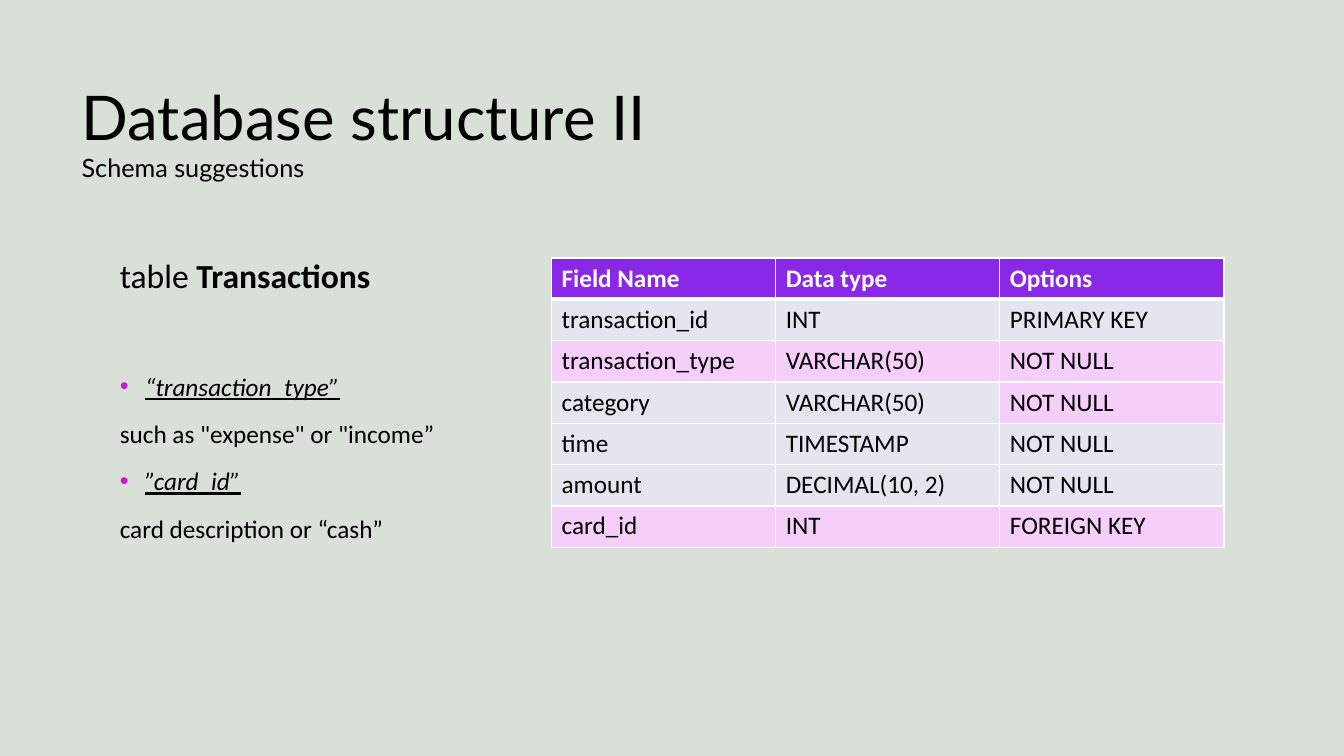
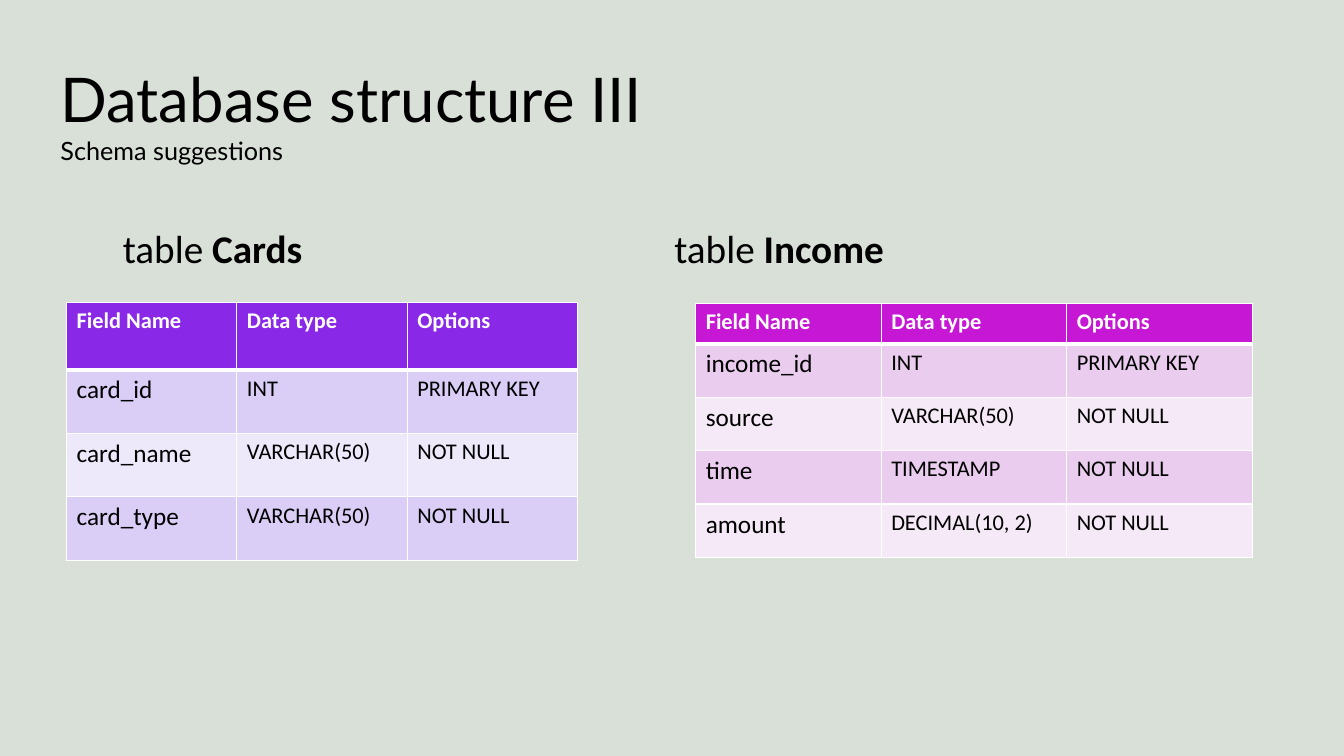
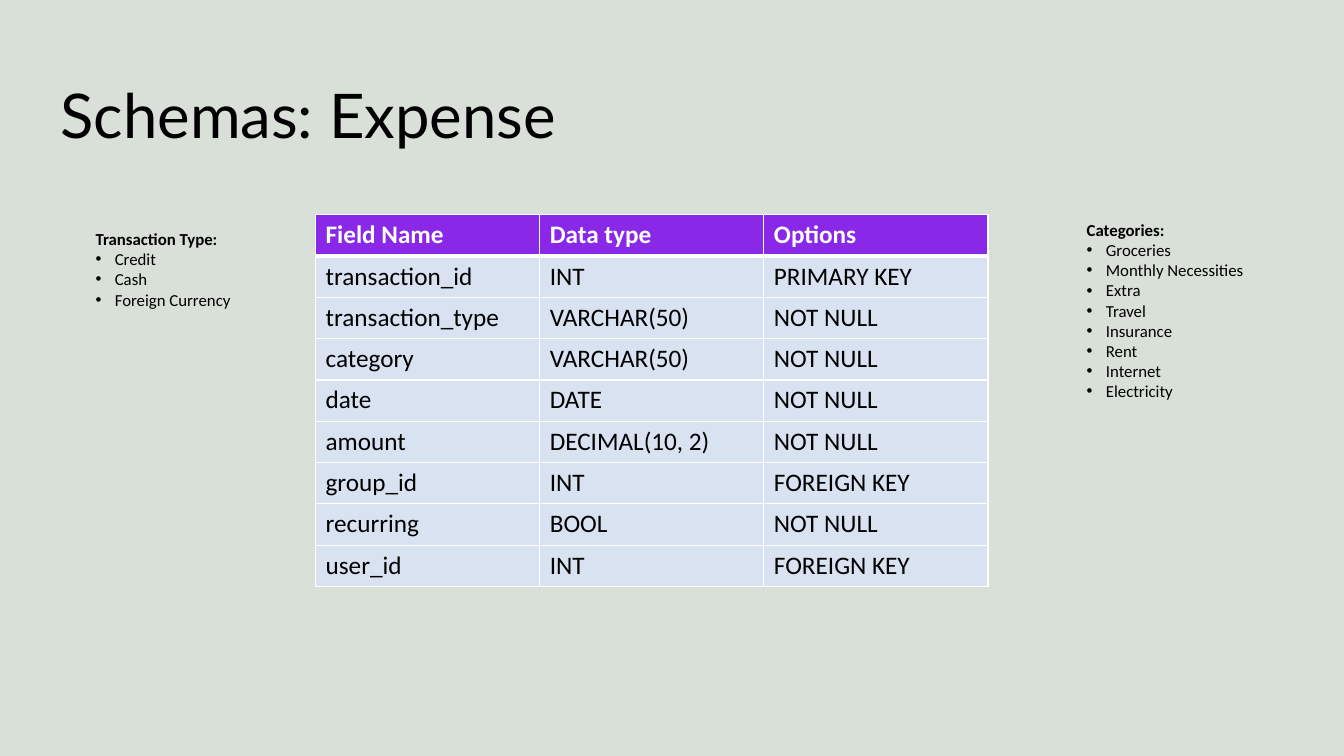
"""Build three slides on the schema of a budgeting database."""
from lxml import etree
from pptx import Presentation
from pptx.dml.color import RGBColor
from pptx.enum import text
from pptx.oxml import ns
from pptx.util import Inches, Pt

BACKDROP = RGBColor(0xD9, 0xE0, 0xD8)
BLACK = RGBColor(0x00, 0x00, 0x00)
WHITE = RGBColor(0xFF, 0xFF, 0xFF)
PURPLE = RGBColor(0x89, 0x29, 0xE7)
MAGENTA = RGBColor(0xC6, 0x17, 0xD5)
GREY = RGBColor(0xE5, 0xE5, 0xF0)
PINK = RGBColor(0xF6, 0xCE, 0xFA)
LILAC = RGBColor(0xDA, 0xCD, 0xF6)
PALE_LILAC = RGBColor(0xED, 0xE8, 0xFA)
ROSE = RGBColor(0xEA, 0xCC, 0xEF)
PALE_ROSE = RGBColor(0xF5, 0xE8, 0xF7)
SKY = RGBColor(0xD8, 0xE2, 0xF0)

HEADER = ("Field Name", "Data type", "Options")
ROW = 0.41


def write(p, words, size=18, font="Calibri", color=BLACK, bold=False, italic=False, underline=False):
    """Add a formatted run to a paragraph."""
    r = p.add_run()
    r.text = words
    f = r.font
    f.size, f.name, f.bold = Pt(size), font, bold
    f.italic, f.underline = italic, underline
    f.color.rgb = color


def add_xml(parent, tag, **attrs):
    """Append a drawing element and return it."""
    return etree.SubElement(parent, ns.qn(tag), attrs)


def add_bullet(p, indent, color):
    """Give a paragraph a hanging round bullet."""
    pPr = p._p.get_or_add_pPr()
    pPr.set("marL", str(Inches(indent)))
    pPr.set("indent", str(-Inches(indent)))
    add_xml(add_xml(pPr, "a:buClr"), "a:srgbClr", val=str(color))
    add_xml(pPr, "a:buFont", typeface="Arial")
    add_xml(pPr, "a:buChar", char="•")


def add_box(slide, left, top, width, height):
    """Add a wrapping text box and return its text frame."""
    tf = slide.shapes.add_textbox(*map(Inches, (left, top, width, height))).text_frame
    tf.word_wrap = True
    return tf


def add_slide(prs, title, subtitle=None, left=0.5, top=0.4):
    """Add a titled slide with an optional second title line."""
    slide = prs.slides.add_slide(prs.slide_layouts[5])
    sp = slide.shapes.title
    sp.left, sp.top, sp.width, sp.height = map(Inches, (left, top, 11.92, 1.45))
    tf = sp.text_frame
    tf.auto_size = text.MSO_AUTO_SIZE.NONE
    tf.vertical_anchor = text.MSO_ANCHOR.MIDDLE
    p = tf.paragraphs[0]
    p.alignment = text.PP_ALIGN.LEFT
    write(p, title, size=44, font="Lato")
    if subtitle:
        p.add_line_break()
        write(p, subtitle, font="Lato")
    return slide


def add_caption(tf, name, size):
    """Write the name of a table, with the name itself in bold."""
    p = tf.paragraphs[0]
    p.line_spacing = 1.1
    write(p, "table ", size=size)
    write(p, name, size=size, bold=True)


def add_notes(tf, notes):
    """Write underlined field names, each followed by its meaning."""
    for i, (field, meaning) in enumerate(notes):
        for words, is_field in ((field, True), (meaning, False)):
            p = tf.add_paragraph()
            p.line_spacing = 1.1
            p.space_before = Pt(52 if is_field and i == 0 else 10)
            if is_field:
                add_bullet(p, 0.25, MAGENTA)
            write(p, words, italic=is_field, underline=is_field)


def add_list(slide, left, top, width, height, heading, items):
    """Add a small bold heading with a bulleted list below it."""
    tf = add_box(slide, left, top, width, height)
    write(tf.paragraphs[0], heading, size=12, bold=True)
    for item in items:
        p = tf.add_paragraph()
        add_bullet(p, 0.19, BLACK)
        write(p, item, size=12)


def set_borders(cell, top, bottom):
    """Draw white borders round a cell, with the given top and bottom weights."""
    tcPr = cell._tc.get_or_add_tcPr()
    for side, weight in (("L", 1), ("R", 1), ("T", top), ("B", bottom)):
        ln = add_xml(tcPr, f"a:ln{side}", w=str(Pt(weight)))
        add_xml(add_xml(ln, "a:solidFill"), "a:srgbClr", val=str(WHITE))


def add_schema(slide, left, top, width, fields, tints, accent=PURPLE, size=18,
               head=ROW, row=ROW, marked=()):
    """Add a table of fields, cycling row tints and tinting marked cells pink."""
    height = head + row * len(fields)
    table = slide.shapes.add_table(len(fields) + 1, len(HEADER),
                                   *map(Inches, (left, top, width, height))).table
    for i, values in enumerate([HEADER, *fields]):
        is_head = i == 0
        table.rows[i].height = Inches(head if is_head else row)
        for j, value in enumerate(values):
            cell = table.cell(i, j)
            set_borders(cell, top=3 if i == 1 else 1, bottom=3 if is_head else 1)
            tint = PINK if (i, j) in marked else tints[(i - 1) % len(tints)]
            cell.fill.solid()
            cell.fill.fore_color.rgb = accent if is_head else tint
            write(cell.text_frame.paragraphs[0], value, bold=is_head,
                  size=18 if j == 0 and not is_head else size,
                  color=WHITE if is_head else BLACK)


def build_transactions(prs):
    """Build the slide on the Transactions table."""
    slide = add_slide(prs, "Database structure II", "Schema suggestions", left=0.71, top=0.57)
    tf = add_box(slide, 1.09, 2.44, 4.2, 3.1)
    add_caption(tf, "Transactions", 24)
    add_notes(tf, [("“transaction_type”", 'such as "expense" or "income”'),
                   ("”card_id”", "card description or “cash”")])
    add_schema(slide, 5.47, 2.56, 6.67, [
        ("transaction_id", "INT", "PRIMARY KEY"),
        ("transaction_type", "VARCHAR(50)", "NOT NULL"),
        ("category", "VARCHAR(50)", "NOT NULL"),
        ("time", "TIMESTAMP", "NOT NULL"),
        ("amount", "DECIMAL(10, 2)", "NOT NULL"),
        ("card_id", "INT", "FOREIGN KEY"),
    ], [GREY], marked=[(2, 0), (2, 1), (2, 2), (3, 2), (6, 0), (6, 1), (6, 2)])


def build_cards_and_income(prs):
    """Build the slide on the Cards and Income tables."""
    slide = add_slide(prs, "Database structure III", "Schema suggestions")
    for left, name in ((1.12, "Cards"), (6.59, "Income")):
        add_caption(add_box(slide, left, 2.13, 4, 0.62), name, 28)
    add_schema(slide, 0.66, 3, 5.07, [
        ("card_id", "INT", "PRIMARY KEY"),
        ("card_name", "VARCHAR(50)", "NOT NULL"),
        ("card_type", "VARCHAR(50)", "NOT NULL"),
    ], [LILAC, PALE_LILAC], size=16, head=0.67, row=0.63)
    add_schema(slide, 6.9, 3.01, 5.52, [
        ("income_id", "INT", "PRIMARY KEY"),
        ("source", "VARCHAR(50)", "NOT NULL"),
        ("time", "TIMESTAMP", "NOT NULL"),
        ("amount", "DECIMAL(10, 2)", "NOT NULL"),
    ], [ROSE, PALE_ROSE], accent=MAGENTA, size=16, head=0.4, row=0.53)


def build_expense(prs):
    """Build the slide on the Expense schema."""
    slide = add_slide(prs, "Schemas: Expense")
    add_schema(slide, 3.13, 2.13, 6.67, [
        ("transaction_id", "INT", "PRIMARY KEY"),
        ("transaction_type", "VARCHAR(50)", "NOT NULL"),
        ("category", "VARCHAR(50)", "NOT NULL"),
        ("date", "DATE", "NOT NULL"),
        ("amount", "DECIMAL(10, 2)", "NOT NULL"),
        ("group_id", "INT", "FOREIGN KEY"),
        ("recurring", "BOOL", "NOT NULL"),
        ("user_id", "INT", "FOREIGN KEY"),
    ], [SKY])
    add_list(slide, 10.68, 2.13, 2.02, 1.92, "Categories:", [
        "Groceries", "Monthly Necessities", "Extra", "Travel",
        "Insurance", "Rent", "Internet", "Electricity"])
    add_list(slide, 0.85, 2.22, 2.19, 1.11, "Transaction Type:",
             ["Credit", "Cash", "Foreign Currency"])


def main():
    """Build and save the presentation."""
    prs = Presentation()
    prs.slide_width, prs.slide_height = Inches(13.33), Inches(7.5)
    fill = prs.slide_master.background.fill
    fill.solid()
    fill.fore_color.rgb = BACKDROP
    build_transactions(prs)
    build_cards_and_income(prs)
    build_expense(prs)
    prs.save("out.pptx")


main()
